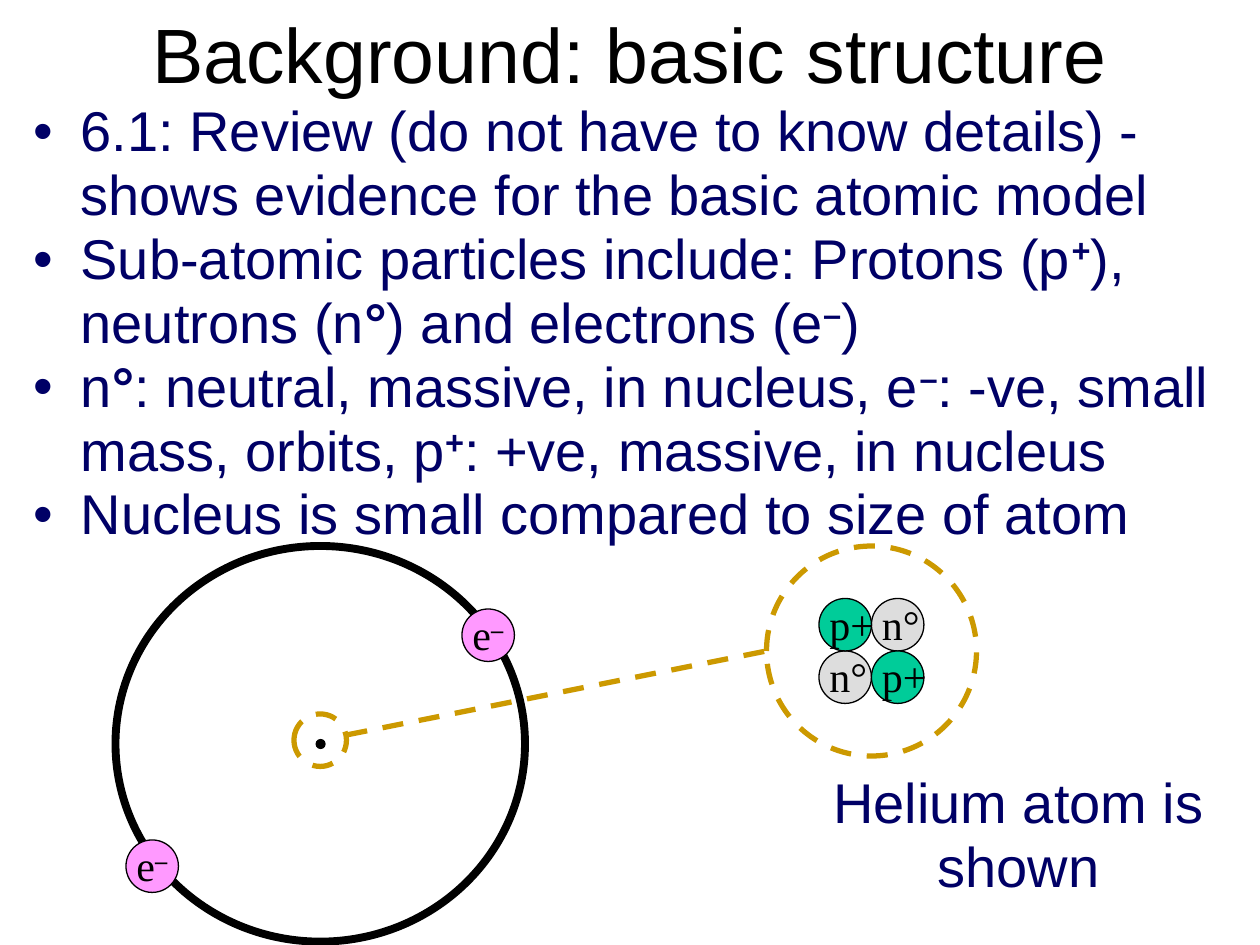
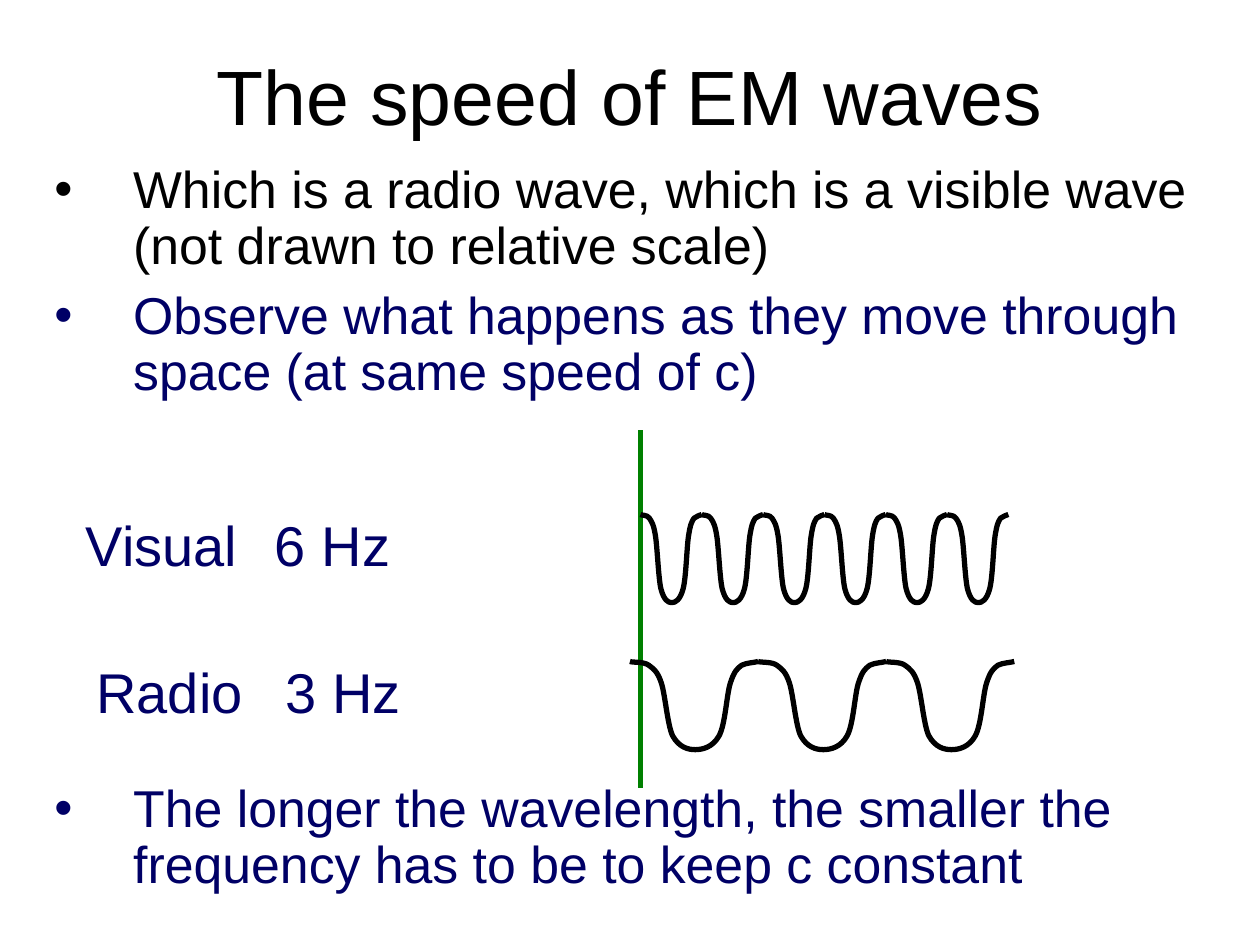
from dataclasses import dataclass

from lxml.etree import SubElement
from pptx import Presentation
from pptx.dml.color import RGBColor
from pptx.enum.dml import MSO_LINE
from pptx.enum.shapes import MSO_CONNECTOR, MSO_SHAPE
from pptx.enum.text import MSO_ANCHOR, MSO_AUTO_SIZE, PP_ALIGN
from pptx.oxml.ns import qn
from pptx.util import Inches, Pt


@dataclass(frozen=True)
class Theme:
    black: RGBColor = RGBColor(0, 0, 0)
    navy: RGBColor = RGBColor(0, 0, 0x66)
    gold: RGBColor = RGBColor(0xCC, 0x99, 0)
    green: RGBColor = RGBColor(0, 0x80, 0)
    proton: RGBColor = RGBColor(0, 0xCC, 0x99)
    neutron: RGBColor = RGBColor(0xDD, 0xDD, 0xDD)
    electron: RGBColor = RGBColor(0xFF, 0x99, 0xFF)
    sans: str = "Arial"
    serif: str = "Times New Roman"
    title: float = 44
    body: float = 32
    compact: float = 29.6
    particle: float = 24
    thin: float = 0.75
    medium: float = 3
    thick: float = 4.5


THEME = Theme()
PLUS, MINUS, DEGREE = ("+", "super"), ("–", "super"), ("°", "bold")

STRUCTURE_TITLE = ("Background: basic structure", (0.75, 1 / 12, 8.5, 2 / 3))
STRUCTURE_POINTS = [
    ["6.1: Review (do not have to know details) - shows evidence for the basic atomic model"],
    ["Sub-atomic particles include: Protons (p", PLUS, "), neutrons (n", DEGREE,
     ") and electrons (e", MINUS, ")"],
    ["n", DEGREE, ": neutral, massive, in nucleus, e", MINUS,
     ": -ve, small mass, orbits, p", PLUS, ": +ve, massive, in nucleus"],
    ["Nucleus is small compared to size of atom"],
]
STRUCTURE_BOX = (1 / 6, 0.75, 9.75, 3.75)
STRUCTURE_INDENT = 3 / 8
HELIUM_CAPTION = ("Helium atom is shown", (6.5, 6 + 1 / 12, 3 + 1 / 6, 1 + 1 / 12))

PARTICLE_SIZE = 5 / 12
NUCLEUS_ORIGIN = (6.5, 4.75)
NUCLEONS = [
    (1, 0, ["n°"], THEME.neutron),
    (0, 1, ["n°"], THEME.neutron),
    (0, 0, ["p+"], THEME.proton),
    (1, 1, ["p+"], THEME.proton),
]
ELECTRON_SPOTS = [(1, 6 + 2 / 3), (3 + 2 / 3, 4 + 5 / 6)]
ORBIT = (11 / 12, 4 + 1 / 3, 3.25, 3.14)
NUCLEUS_DOT = (2.51, 5.87, 0.07, 0.07)
ZOOM_SOURCE = (2 + 1 / 3, 5 + 2 / 3, PARTICLE_SIZE, PARTICLE_SIZE)
ZOOM_VIEW = (6 + 1 / 12, 4 + 1 / 3, 5 / 3, 5 / 3)
ZOOM_LINE = ((2.75, 5 + 5 / 6), (6 + 1 / 12, 5 + 1 / 6))

SPEED_TITLE = ("The speed of EM waves", (0.75, 1 / 3, 8.5, 5 / 6))
SPEED_POINTS = [
    ("Which is a radio wave, which is a visible wave (not drawn to relative scale)",
     (1 / 3, 1.25, 9 + 5 / 12, 7 / 6), THEME.black),
    ("Observe what happens as they move through space (at same speed of c)",
     (1 / 3, 2.25, 9 + 1 / 3, 7 / 6), THEME.navy),
    ("The longer the wavelength, the smaller the frequency has to be to keep c constant",
     (1 / 3, 6 + 1 / 6, 9 + 1 / 3, 7 / 6), THEME.navy),
]
SPEED_INDENT = 5 / 8
WAVES = [
    dict(name="Visual", frequency="6 Hz", label=(7 / 12, 4),
         start=(5 + 1 / 12, 4 + 1 / 12), length=2.92, cycles=6),
    dict(name="Radio", frequency="3 Hz", label=(2 / 3, 5 + 1 / 6),
         start=(5, 5.25), length=3.05, cycles=3),
]
LABEL_SIZE = (5 / 3, 2 / 3)
FREQUENCY_OFFSET = 1.5
START_LINE = ((5 + 1 / 12, 3 + 5 / 12), (5 + 1 / 12, 6.25))
CYCLE_WIDTH = 1.02
CYCLE_CURVES = [
    ((0.02, 0.01), (0.11, 0), (0.15, 0.03)),
    ((0.19, 0.06), (0.22, 0.08), (0.25, 0.17)),
    ((0.28, 0.26), (0.3, 0.51), (0.34, 0.59)),
    ((0.39, 0.68), (0.46, 0.7), (0.52, 0.7)),
    ((0.58, 0.7), (0.66, 0.68), (0.71, 0.59)),
    ((0.76, 0.5), (0.77, 0.26), (0.8, 0.17)),
    ((0.83, 0.08), (0.85, 0.06), (0.89, 0.03)),
    ((0.93, 0.01), (0.99, 0.01), (1.02, 0)),
]


def inches(values):
    return [Inches(value) for value in values]


def set_font(paragraph, size, color, face=THEME.sans):
    font = paragraph.font
    font.size, font.name, font.color.rgb = Pt(size), face, color


def add_bullet(paragraph, indent, color):
    properties = paragraph._p.get_or_add_pPr()
    properties.set("marL", str(Inches(indent)))
    properties.set("indent", str(-Inches(indent)))
    bullet_color = SubElement(properties, qn("a:buClr"))
    SubElement(bullet_color, qn("a:srgbClr")).set("val", str(color))
    SubElement(properties, qn("a:buFont")).set("typeface", THEME.sans)
    SubElement(properties, qn("a:buChar")).set("char", "•")


def add_text(shapes, box, paragraphs, size, color=THEME.navy, face=THEME.sans,
             align=PP_ALIGN.LEFT, spacing=None, indent=None, inset=(0.1, 0.05)):
    frame = shapes.add_textbox(*inches(box)).text_frame
    frame.word_wrap = True
    frame.margin_left = frame.margin_right = Inches(inset[0])
    frame.margin_top = frame.margin_bottom = Inches(inset[1])
    for index, pieces in enumerate(paragraphs):
        paragraph = frame.add_paragraph() if index else frame.paragraphs[0]
        paragraph.alignment = align
        if spacing:
            paragraph.line_spacing = spacing
        if indent:
            add_bullet(paragraph, indent, color)
        set_font(paragraph, size, color, face)
        for piece in pieces:
            words, style = (piece, None) if isinstance(piece, str) else piece
            run = paragraph.add_run()
            run.text = words
            if style:
                run.font.bold = True
            if style == "super":
                run._r.get_or_add_rPr().set("baseline", "30000")


def add_title(prs, words, box):
    slide = prs.slides.add_slide(prs.slide_layouts[5])
    title = slide.shapes.title
    title.left, title.top, title.width, title.height = inches(box)
    frame = title.text_frame
    frame.text = words
    frame.auto_size = MSO_AUTO_SIZE.NONE
    frame.vertical_anchor = MSO_ANCHOR.MIDDLE
    frame.paragraphs[0].alignment = PP_ALIGN.CENTER
    set_font(frame.paragraphs[0], THEME.title, THEME.black)
    return slide.shapes


def set_line(line, color, width, dashed=False):
    line.color.rgb, line.width = color, Pt(width)
    if dashed:
        line.dash_style = MSO_LINE.DASH


def add_circle(shapes, box, fill=None, color=THEME.black, width=THEME.thin, dashed=False):
    circle = shapes.add_shape(MSO_SHAPE.OVAL, *inches(box))
    circle.shadow.inherit = False
    if fill is None:
        circle.fill.background()
    else:
        circle.fill.solid()
        circle.fill.fore_color.rgb = fill
    set_line(circle.line, color, width, dashed)


def add_straight(shapes, ends, color, dashed=False):
    start, end = ends
    straight = shapes.add_connector(MSO_CONNECTOR.STRAIGHT, *inches(start + end))
    set_line(straight.line, color, THEME.medium, dashed)
    SubElement(straight._element.spPr, qn("a:effectLst"))


def add_particle(shapes, left, top, label, fill):
    add_circle(shapes, (left, top, PARTICLE_SIZE, PARTICLE_SIZE), fill)
    add_text(shapes, (left + 1 / 12, top, PARTICLE_SIZE, 0.4), [label], THEME.particle,
             THEME.black, THEME.serif, inset=(0, 0))


def add_cycle(shapes, left, top, width):
    curves = [[inches((x * width / CYCLE_WIDTH, y)) for x, y in curve]
              for curve in CYCLE_CURVES]
    outline = shapes.build_freeform(0, 0)
    outline.add_line_segments([curve[-1] for curve in curves], close=False)
    cycle = outline.convert_to_shape(Inches(left), Inches(top))
    segments = list(cycle._element.iter(qn("a:lnTo")))
    for segment, curve in zip(segments, curves):
        bezier = SubElement(segment.getparent(), qn("a:cubicBezTo"))
        for x, y in curve:
            point = SubElement(bezier, qn("a:pt"))
            point.set("x", str(x))
            point.set("y", str(y))
        segment.getparent().remove(segment)
    cycle.shadow.inherit = False
    cycle.fill.background()
    set_line(cycle.line, THEME.black, THEME.medium)


def build_structure(prs):
    shapes = add_title(prs, *STRUCTURE_TITLE)
    add_text(shapes, STRUCTURE_BOX, STRUCTURE_POINTS, THEME.body, spacing=0.95,
             indent=STRUCTURE_INDENT)

    nucleus = shapes.add_group_shape().shapes
    zoom = dict(color=THEME.gold, width=THEME.medium, dashed=True)
    add_circle(nucleus, ZOOM_SOURCE, **zoom)
    add_straight(nucleus, ZOOM_LINE, THEME.gold, dashed=True)
    for column, row, label, fill in NUCLEONS:
        add_particle(nucleus, NUCLEUS_ORIGIN[0] + column * PARTICLE_SIZE,
                     NUCLEUS_ORIGIN[1] + row * PARTICLE_SIZE, label, fill)
    add_circle(nucleus, ZOOM_VIEW, **zoom)

    atom = shapes.add_group_shape().shapes
    add_circle(atom, ORBIT, width=THEME.thick)
    add_circle(atom, NUCLEUS_DOT, THEME.black)
    for left, top in ELECTRON_SPOTS:
        add_particle(atom, left, top, ["e", MINUS], THEME.electron)

    caption, box = HELIUM_CAPTION
    add_text(shapes, box, [[caption]], THEME.body, align=PP_ALIGN.CENTER, spacing=0.95)


def build_speed(prs):
    shapes = add_title(prs, *SPEED_TITLE)
    add_straight(shapes, START_LINE, THEME.green)
    for words, box, color in SPEED_POINTS:
        add_text(shapes, box, [[words]], THEME.compact, color, spacing=0.9,
                 indent=SPEED_INDENT)
    cycles = shapes.add_group_shape().shapes
    for wave in WAVES:
        left, top = wave["label"]
        add_text(shapes, (left, top, *LABEL_SIZE), [[wave["name"]]], THEME.body)
        add_text(shapes, (left + FREQUENCY_OFFSET, top, *LABEL_SIZE),
                 [[wave["frequency"]]], THEME.body)
        start, baseline = wave["start"]
        wavelength = wave["length"] / wave["cycles"]
        for index in range(wave["cycles"]):
            add_cycle(cycles, start + index * wavelength, baseline, wavelength)


def main():
    prs = Presentation()
    prs.slide_width, prs.slide_height = Inches(10), Inches(7.5)
    build_structure(prs)
    build_speed(prs)
    prs.save("out.pptx")


if __name__ == "__main__":
    main()
